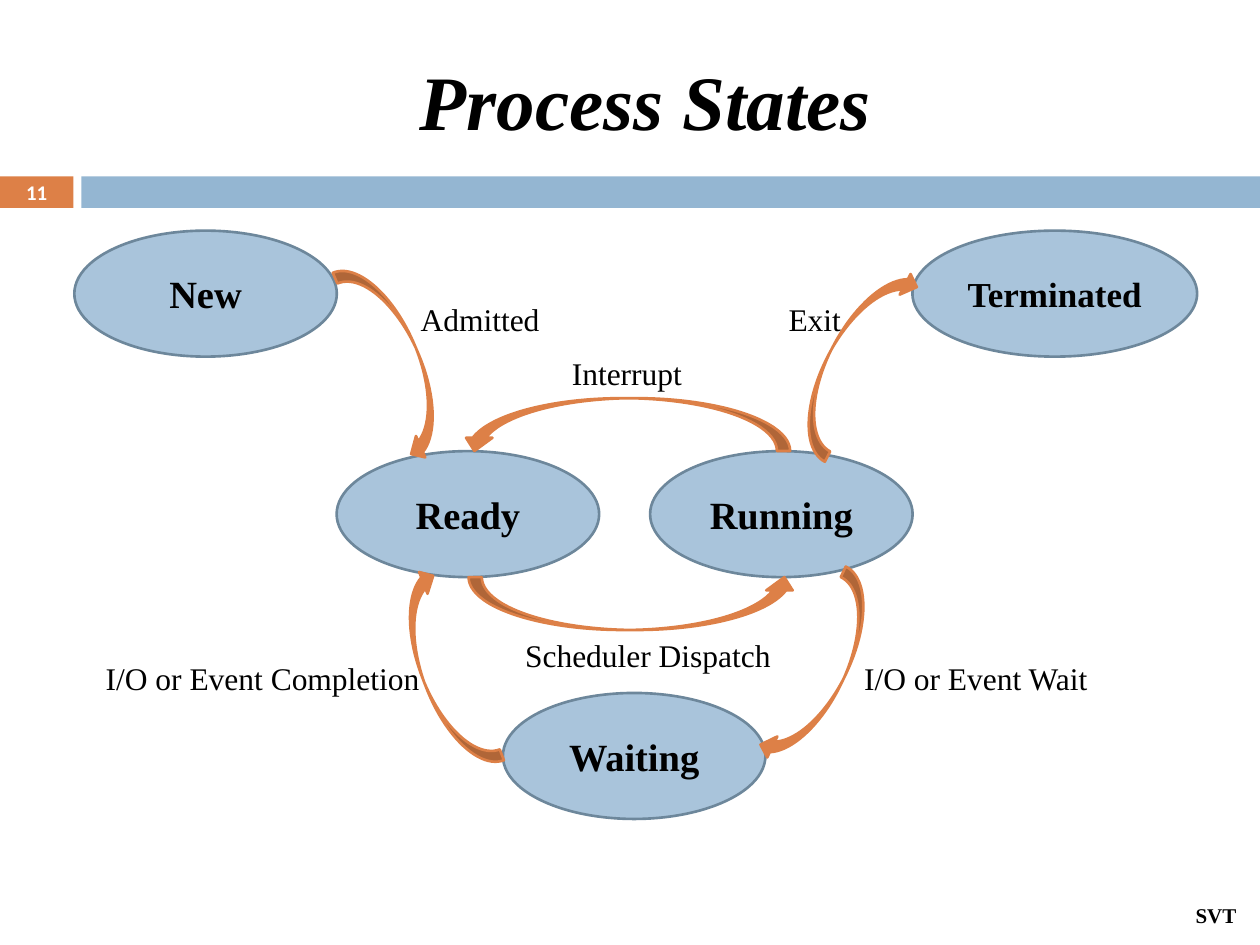
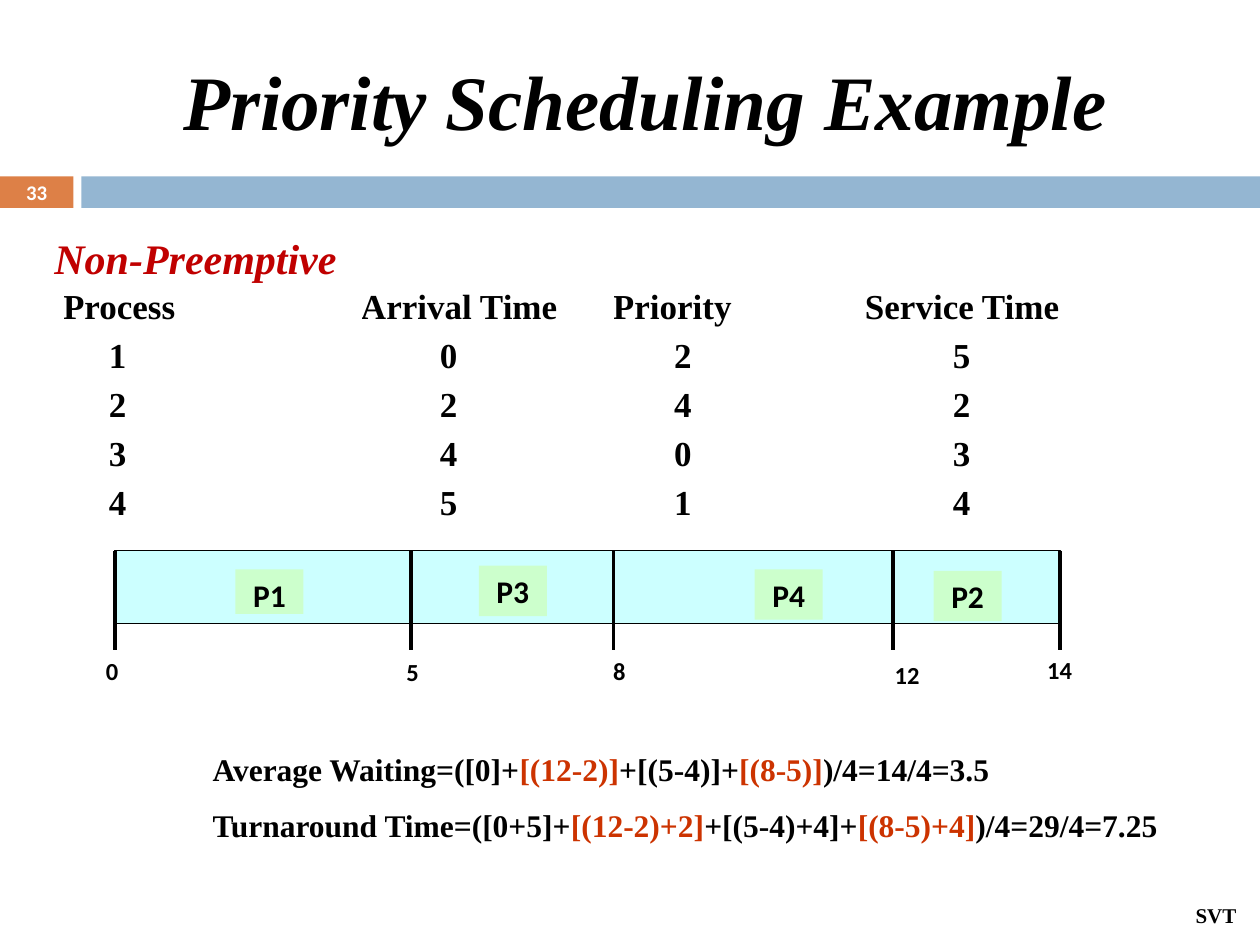
import pptx
import pptx.util
import pptx.dml.color
import pptx.enum.shapes
import pptx.enum.text
import pptx.oxml.ns
from lxml import etree

Pt = pptx.util.Pt
KIND = pptx.enum.shapes.MSO_SHAPE
ALIGN = pptx.enum.text.PP_ALIGN
ANCHOR = pptx.enum.text.MSO_ANCHOR

COLORS = {
    "black": "000000", "white": "FFFFFF", "orange": "DD8047", "blue": "94B6D2",
    "state": "A9C4DB", "edge": "6D879B", "red": "C00000", "rust": "CC3300",
    "cyan": "CCFFFF", "mint": "CCFFCC",
}
SERIF, SANS = "Times New Roman", "Calibri"


def tint(name):
    return pptx.dml.color.RGBColor.from_string(COLORS[name])


def write(frame, text, size=18, font=SERIF, color="black", bold=False,
          italic=False, align=ALIGN.LEFT, spacing=None):
    """Fill a frame; text is a string, or a list of paragraphs of (text, color) runs."""
    paras = [[(text, color)]] if isinstance(text, str) else text
    for i, runs in enumerate(paras):
        para = frame.paragraphs[0] if i == 0 else frame.add_paragraph()
        para.alignment = align
        if spacing:
            para.line_spacing = spacing
        for words, shade in runs:
            run = para.add_run()
            run.text = words
            run.font.name, run.font.size = font, Pt(size)
            run.font.bold, run.font.italic = bold, italic
            run.font.color.rgb = tint(shade)


class Deck:
    def __init__(self):
        self.show = pptx.Presentation()
        self.show.slide_width, self.show.slide_height = Pt(720), Pt(540)
        self.slide = None

    def start(self, title, number):
        """Add a slide with its title, bands, number and footer."""
        self.slide = self.show.slides.add_slide(self.show.slide_layouts[5])
        head = self.slide.shapes.title
        head.left, head.top, head.width, head.height = Pt(48), Pt(18), Pt(642), Pt(78)
        head.text_frame.auto_size = pptx.enum.text.MSO_AUTO_SIZE.NONE
        head.text_frame.vertical_anchor = ANCHOR.MIDDLE
        write(head.text_frame, title, size=44, bold=True, italic=True, align=ALIGN.CENTER)
        self.shape(KIND.RECTANGLE, 0, 100.8, 42, 18, "orange")
        self.shape(KIND.RECTANGLE, 46.5, 100.8, 673.5, 18, "blue")
        self.text(str(number), 0, 100.2, 42, 19.2, anchor=ANCHOR.MIDDLE, size=11.9,
                  font=SANS, color="white", bold=True, align=ALIGN.CENTER)
        self.text("SVT", 676.1, 511.9, 38, 21.8, size=12, bold=True)

    def shape(self, kind, x, y, w, h, fill, line=None, weight=1.5, turn=0):
        item = self.slide.shapes.add_shape(kind, Pt(x), Pt(y), Pt(w), Pt(h))
        item.shadow.inherit = False
        item.rotation = turn
        item.fill.solid()
        item.fill.fore_color.rgb = tint(fill)
        if line:
            item.line.color.rgb = tint(line)
            item.line.width = Pt(weight)
        else:
            item.line.fill.background()
        return item

    def label(self, item, text, anchor=ANCHOR.MIDDLE, **style):
        """Put unwrapped text into a shape or a text box."""
        item.text_frame.word_wrap = False
        item.text_frame.vertical_anchor = anchor
        write(item.text_frame, text, **style)

    def text(self, text, x, y, w, h, anchor=ANCHOR.TOP, **style):
        box = self.slide.shapes.add_textbox(Pt(x), Pt(y), Pt(w), Pt(h))
        self.label(box, text, anchor, **style)

    def line(self, x, y, x2, y2, color="black", weight=2.25):
        item = self.slide.shapes.add_connector(
            pptx.enum.shapes.MSO_CONNECTOR.STRAIGHT, Pt(x), Pt(y), Pt(x2), Pt(y2))
        item.line.color.rgb = tint(color)
        item.line.width = Pt(weight)
        etree.SubElement(item.element.spPr, pptx.oxml.ns.qn("a:effectLst"))

    def table(self, rows, x, y, widths, height, indents, **style):
        """Add a plain table whose body cells are indented column by column."""
        grid = self.slide.shapes.add_table(
            len(rows), len(widths), Pt(x), Pt(y), Pt(sum(widths)), Pt(height * len(rows))).table
        grid.first_row = grid.horz_banding = False
        for c, width in enumerate(widths):
            grid.columns[c].width = Pt(width)
        for r, row in enumerate(rows):
            grid.rows[r].height = Pt(height)
            for c, value in enumerate(row):
                cell = grid.cell(r, c)
                cell.fill.background()
                cell.margin_left = Pt(indents[c] if r else 0)
                cell.margin_right = cell.margin_top = cell.margin_bottom = 0
                cell.vertical_anchor = ANCHOR.MIDDLE
                write(cell.text_frame, str(value), **style)


def draw_states(deck):
    deck.start("Process States", 11)
    states = [
        ("Terminated", 521.4, 131.8, 162.7, 20), ("Running", 371.5, 257.8, 150, 22),
        ("Ready", 192.4, 257.8, 150, 22), ("New", 42.5, 131.8, 150, 22),
        ("Waiting", 287.4, 396, 150, 22),
    ]
    for name, x, y, w, size in states:
        oval = deck.shape(KIND.OVAL, x, y, w, 72, "state", "edge")
        deck.label(oval, name, size=size, bold=True, align=ALIGN.CENTER)

    for x, y, turn in [(267.8, 329.8, 0), (263.5, 227.5, 180)]:
        deck.shape(KIND.CURVED_UP_ARROW, x, y, 188, 30.2, "orange", "orange", turn=turn)
    bends = [(427.7, 191.5, 297.8), (166.3, 192.2, 66.6),
             (409.7, 370.1, 115.6), (194.4, 370.1, 249)]
    for x, y, turn in bends:
        deck.shape(KIND.CURVED_DOWN_ARROW, x, y, 119.5, 26.6, "orange", "orange", turn=turn)

    moves = [
        ("Admitted", 233.3, 167.8, 86.4), ("Interrupt", 319.7, 198.7, 78.5),
        ("Exit", 443.5, 167.8, 44.6), ("I/O or Event Completion", 53.3, 373, 195.8),
        ("I/O or Event Wait", 486.7, 373, 143.3), ("Scheduler Dispatch", 293, 360, 156.2),
    ]
    for name, x, y, w in moves:
        deck.text(name, x, y, w, 28.8)


def draw_example(deck):
    deck.start("Priority Scheduling Example", 33)
    deck.text("Non-Preemptive", 24, 129.3, 200, 35, size=24, color="red",
              bold=True, italic=True)
    rows = [
        ("Process", "Arrival Time", "Priority", "Service Time"),
        (1, 0, 2, 5), (2, 2, 4, 2), (3, 4, 0, 3), (4, 5, 1, 4),
    ]
    deck.table(rows, 36, 162, [170.3, 144, 144, 126], 28,
               [26.3, 45.1, 34.9, 50.3], size=20, bold=True)

    top = 314.6
    deck.shape(KIND.RECTANGLE, 65.5, top, 540.4, 41.8, "cyan", "black", 0.75)
    ticks = [  # time, line x, label x, label y, label width
        (0, 65.5, 52.6, 371.5, 23), (5, 234.7, 223.9, 372.2, 23.8),
        (8, 350.6, 342, 371.5, 23.8), (12, 510.5, 503.3, 373.7, 30.2),
        (14, 605.7, 590.4, 370.8, 30.2),
    ]
    for time, mark, x, y, w in ticks:
        deck.line(mark, top, mark, top + 57)
        deck.text(str(time), x, y, w, 24.5, size=14, font=SANS, bold=True,
                  align=ALIGN.CENTER)

    jobs = [("P1", 134.6, 325.4, 25.4), ("P3", 273.6, 323.3, 28.8),
            ("P4", 431.3, 325.4, 28.8), ("P2", 533.5, 326.2, 28.8)]
    for name, x, y, h in jobs:
        tag = deck.shape(KIND.RECTANGLE, x, y, 38.9, h, "mint")
        deck.label(tag, name, ANCHOR.TOP, font=SANS, bold=True, align=ALIGN.CENTER)

    sums = [
        ["Average Waiting=([0]+", "[(12-2)]", "+[(5-4)]+", "[(8-5)]", ")/4=14/4=3.5"],
        ["Turnaround Time=([0+5]+", "[(12-2)+2]", "+[(5-4)+4]+", "[(8-5)+4]",
         ")/4=29/4=7.25"],
    ]
    paras = [[(part, "rust" if i % 2 else "black") for i, part in enumerate(parts)]
             for parts in sums]
    deck.text(paras, 114.5, 414, 559.4, 72.7, bold=True, spacing=1.5)


def main():
    deck = Deck()
    draw_states(deck)
    draw_example(deck)
    deck.show.save("out.pptx")


if __name__ == "__main__":
    main()
